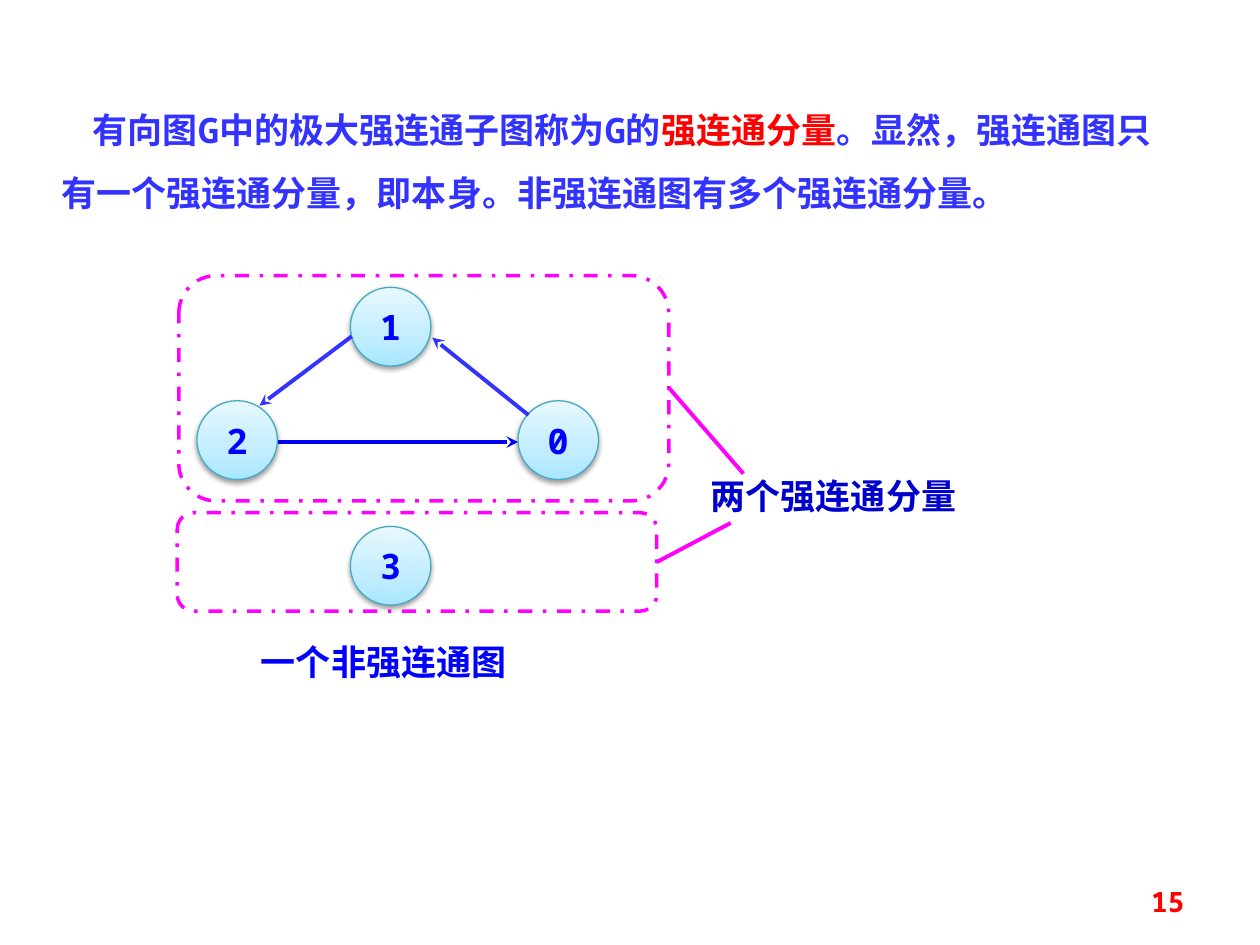
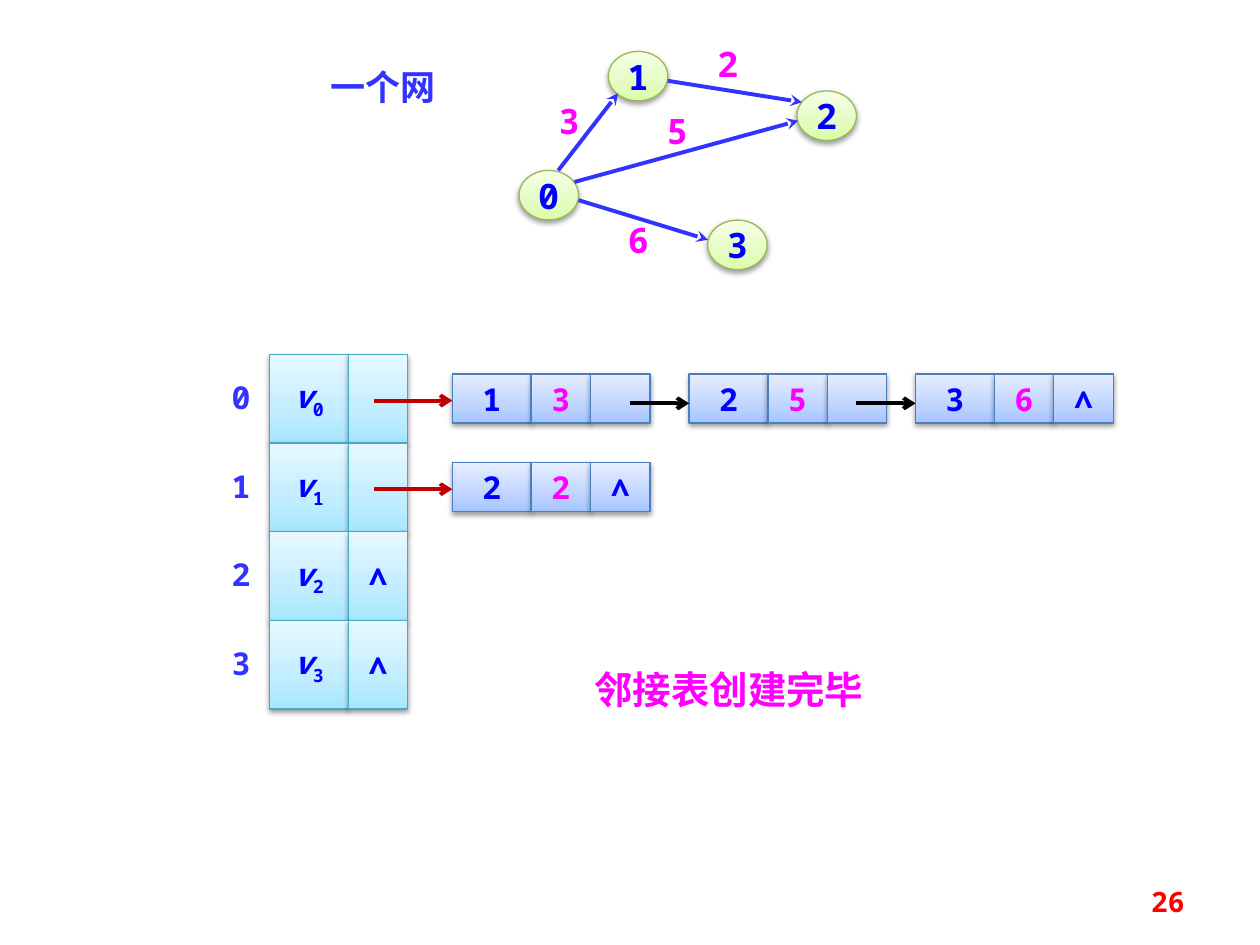
from copy import deepcopy
from dataclasses import dataclass

from lxml.etree import SubElement
from pptx import Presentation
from pptx.dml.color import RGBColor
from pptx.enum.dml import MSO_LINE
from pptx.enum.shapes import MSO_CONNECTOR, MSO_SHAPE
from pptx.enum.text import MSO_ANCHOR, PP_ALIGN
from pptx.oxml.ns import qn
from pptx.util import Pt


@dataclass(frozen=True)
class Theme:
    mono: str = "Noto Sans Mono"
    cjk: str = "Noto Sans CJK SC"
    blue: str = "0000FF"
    deep_blue: str = "0000CC"
    soft_blue: str = "3333FF"
    red: str = "FF0000"
    dark_red: str = "C00000"
    magenta: str = "FF00FF"
    black: str = "000000"
    white: str = "FFFFFF"
    aqua: tuple = ("46AAC5", "A7E6FF", "C1EDFF", "E7F8FF")
    green: tuple = ("98B955", "DAFDA7", "E4FCC2", "F5FFE7")
    steel: tuple = ("4B7EBC", "A4C4FF", "BFD4FF", "E6EEFF")
    stops: tuple = (0, 0.35, 1)
    page: int = 16
    cell: int = 18
    body: int = 20
    closing: int = 22
    hairline: float = 0.75
    frame: float = 2
    stroke: float = 2.25


def apply(target, values):
    for name, value in values.items():
        setattr(target, name, value)


class Deck:
    def __init__(self, theme):
        self.theme = theme
        self.presentation = Presentation()
        apply(self.presentation, {"slide_width": Pt(720), "slide_height": Pt(540)})
        self.slide = None

    def start_slide(self, number):
        self.slide = self.presentation.slides.add_slide(self.presentation.slide_layouts[6])
        self.label(516.2, 500.4, 167.8, 28.8, str(number), self.theme.red,
                   self.theme.page, align=PP_ALIGN.RIGHT, inset=7.2)

    def add_text(self, shape, runs, size, align=PP_ALIGN.CENTER, inset=0, wrap=False):
        frame = shape.text_frame
        apply(frame, {
            "word_wrap": wrap, "vertical_anchor": MSO_ANCHOR.MIDDLE,
            "margin_left": Pt(inset), "margin_right": Pt(inset),
            "margin_top": 0, "margin_bottom": 0,
        })
        paragraph = frame.paragraphs[0]
        paragraph.alignment = align
        for text, color, *extra in runs:
            run = paragraph.add_run()
            run.text = text
            apply(run.font, {"size": Pt(size), "name": self.theme.mono, "bold": True})
            run.font.color.rgb = RGBColor.from_string(color)
            properties = run._r.get_or_add_rPr()
            SubElement(properties, qn("a:ea"), typeface=self.theme.cjk)
            if "italic" in extra:
                run.font.italic = True
            if "subscript" in extra:
                properties.set("baseline", "-25000")
        return paragraph

    def label(self, left, top, width, height, text, color, size=None,
              align=PP_ALIGN.CENTER, inset=0):
        box = self.slide.shapes.add_textbox(Pt(left), Pt(top), Pt(width), Pt(height))
        self.add_text(box, [(text, color)], size or self.theme.body, align, inset, True)
        return box

    def statement(self, left, top, width, height, runs, indent, leading):
        box = self.slide.shapes.add_textbox(Pt(left), Pt(top), Pt(width), Pt(height))
        paragraph = self.add_text(box, runs, self.theme.body, PP_ALIGN.LEFT, 7.2, True)
        paragraph.line_spacing = Pt(leading)
        paragraph._p.get_or_add_pPr().set("indent", str(Pt(indent)))

    def tile(self, kind, left, top, width, height, palette, runs=(), size=None):
        shape = self.slide.shapes.add_shape(kind, Pt(left), Pt(top), Pt(width), Pt(height))
        border, *shades = palette
        shape.fill.gradient()
        shape.fill.gradient_angle = 90
        properties = shape._element.spPr
        stop_list = properties.find(".//" + qn("a:gsLst"))
        stop_list.append(deepcopy(stop_list[0]))
        for stop, position, shade in zip(shape.fill.gradient_stops, self.theme.stops, shades):
            stop.position = position
            stop.color.rgb = RGBColor.from_string(shade)
        self.outline(shape, border, self.theme.hairline)
        shape.shadow.inherit = False
        shadow = SubElement(properties.find(qn("a:effectLst")), qn("a:outerShdw"),
                            blurRad=str(Pt(3.1)), dist=str(Pt(1.6)), dir="5400000",
                            rotWithShape="0")
        tint = SubElement(shadow, qn("a:srgbClr"), val=self.theme.black)
        SubElement(tint, qn("a:alpha"), val="38000")
        if runs:
            self.add_text(shape, runs, size or self.theme.cell)

    def vertex(self, left, top, width, height, name, palette):
        self.tile(MSO_SHAPE.OVAL, left, top, width, height, palette,
                  [(name, self.theme.blue)], self.theme.body)

    def cell(self, left, top, width, height, palette, *runs):
        self.tile(MSO_SHAPE.RECTANGLE, left, top, width, height, palette, runs)

    def component(self, left, top, width, height):
        border = self.slide.shapes.add_shape(
            MSO_SHAPE.ROUNDED_RECTANGLE, Pt(left), Pt(top), Pt(width), Pt(height))
        border.fill.background()
        border.shadow.inherit = False
        self.outline(border, self.theme.magenta, self.theme.frame)
        border.line.dash_style = MSO_LINE.DASH_DOT

    def outline(self, shape, color, width):
        shape.line.color.rgb = RGBColor.from_string(color)
        shape.line.width = Pt(width)

    def edge(self, start, end, color, head=None):
        connector = self.slide.shapes.add_connector(
            MSO_CONNECTOR.STRAIGHT, *map(Pt, (*start, *end)))
        self.outline(connector, color, self.theme.stroke)
        properties = connector._element.spPr
        if head:
            SubElement(properties.find(qn("a:ln")), qn("a:tailEnd"), type=head)
        SubElement(properties, qn("a:effectLst"))


def build_components(deck):
    theme = deck.theme
    deck.start_slide(15)
    deck.statement(28, 48, 655.5, 76, [
        ("有向图G中的极大强连通子图称为G的", theme.soft_blue),
        ("强连通分量", theme.red),
        ("。显然，强连通图只有一个强连通分量，即本身。非强连通图有多个强连通分量。",
         theme.soft_blue),
    ], indent=18, leading=36)

    deck.edge((159, 252.6), (296, 252.6), theme.blue, "stealth")
    vertices = {"1": (200.2, 164.2), "0": (296, 229), "2": (112.5, 229), "3": (200.2, 300.8)}
    for name, (left, top) in vertices.items():
        deck.vertex(left, top, 46, 45, name, theme.aqua)
    deck.edge((201, 192.2), (148.3, 231.8), theme.soft_blue, "stealth")
    deck.edge((302, 237.2), (247, 193), theme.soft_blue, "stealth")

    deck.label(140.4, 362.2, 157.7, 31.7, "一个非强连通图", theme.blue)
    deck.label(394.6, 267.1, 163.4, 31.7, "两个强连通分量", theme.deep_blue)
    deck.component(102.2, 157.5, 280, 128.8)
    deck.component(101.3, 293, 274, 56.2)
    deck.edge((382.2, 221.6), (424.8, 270.7), theme.magenta)
    deck.edge((375.3, 321.2), (417.6, 298.8), theme.magenta)


def build_adjacency_list(deck):
    theme = deck.theme
    null = ("∧", theme.blue)
    deck.start_slide(26)

    adjacency = [[("1", "3"), ("2", "5"), ("3", "6")], [("2", "2")], [], []]
    table_left, table_top, row_height = 154, 202.5, 50.67
    data_width, link_width, node_height = 45, 34, 28
    node_lefts = (258.5, 393.8, 523.2)
    for index, neighbours in enumerate(adjacency):
        top = table_top + index * row_height
        deck.label(123.8, top + 13.5, 28, 21.6, str(index), theme.soft_blue, theme.cell)
        deck.cell(table_left, top, data_width, row_height, theme.aqua,
                  ("v", theme.blue, "italic"), (str(index), theme.blue, "subscript"))
        deck.cell(table_left + data_width, top, link_width, row_height, theme.aqua,
                  *([] if neighbours else [null]))
        node_top = top + 11.3
        for order, (target, weight) in enumerate(neighbours):
            left = node_lefts[order]
            last = order == len(neighbours) - 1
            deck.cell(left, node_top, data_width, node_height, theme.steel,
                      (target, theme.blue))
            deck.cell(left + data_width, node_top, link_width, node_height, theme.steel,
                      (weight, theme.magenta))
            deck.cell(left + data_width + link_width, node_top, link_width, node_height,
                      theme.steel, *([null] if last else []))
            if order:
                deck.edge((left - 33.8, top + 28), (left, top + 28), theme.black, "arrow")
            else:
                deck.edge((left - 44.8, top + 26.4), (left, top + 26.4),
                          theme.dark_red, "arrow")

    vertices = {"1": (347.6, 29.4), "2": (455.4, 52), "0": (296.6, 97.4), "3": (404.4, 125.8)}
    for name, (left, top) in vertices.items():
        deck.vertex(left, top, 34, 28.3, name, theme.green)
    weighted_edges = [
        ("3", (319, 97.4), (353.2, 53.3), (308.2, 56.2)),
        ("6", (330.6, 114.4), (404.6, 137), (347.8, 124.6)),
        ("5", (328.3, 104), (456.2, 69), (370.1, 62)),
        ("2", (381.6, 46.2), (458.3, 58.4), (398.9, 23.8)),
    ]
    for weight, start, end, (left, top) in weighted_edges:
        deck.edge(start, end, theme.soft_blue, "stealth")
        deck.label(left, top, 34, 25, weight, theme.magenta)

    deck.label(168.5, 33.8, 100.8, 31.7, "一个网", theme.soft_blue)
    closing = deck.label(303.8, 376.6, 225.4, 33.8, "邻接表创建完毕",
                         theme.magenta, theme.closing)
    closing.fill.solid()
    closing.fill.fore_color.rgb = RGBColor.from_string(theme.white)
    closing.text_frame.paragraphs[0].runs[0].font.name = theme.cjk


def main():
    deck = Deck(Theme())
    build_components(deck)
    build_adjacency_list(deck)
    deck.presentation.save("out.pptx")


if __name__ == "__main__":
    main()
